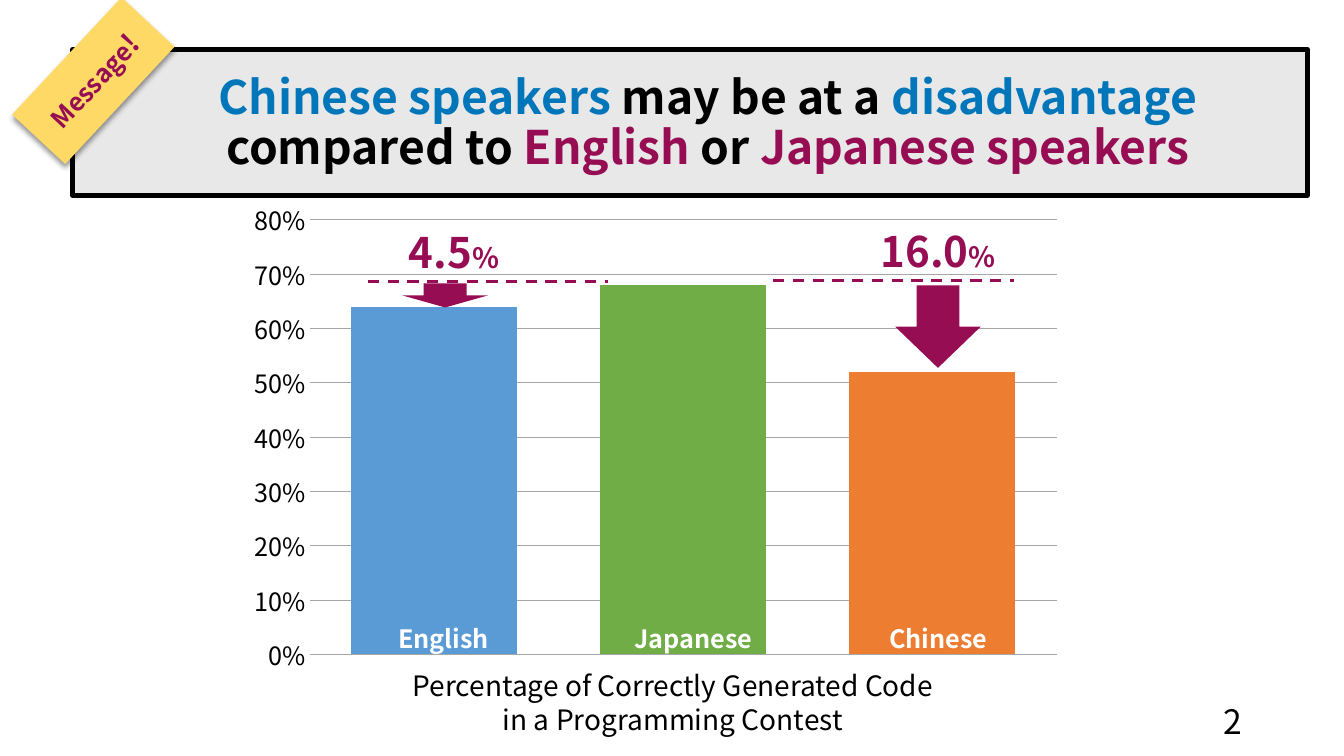
from lxml import etree
from pptx import Presentation
from pptx.chart.data import CategoryChartData
from pptx.dml.color import RGBColor
from pptx.enum.chart import XL_CHART_TYPE, XL_TICK_MARK
from pptx.enum.dml import MSO_LINE
from pptx.enum.shapes import MSO_CONNECTOR, MSO_SHAPE
from pptx.enum.text import MSO_ANCHOR, PP_ALIGN
from pptx.oxml import parse_xml
from pptx.oxml.ns import nsdecls, qn
from pptx.util import Inches, Pt

RECT, UP_ARROW = MSO_SHAPE.RECTANGLE, MSO_SHAPE.UP_ARROW
STRAIGHT, DASH = MSO_CONNECTOR.STRAIGHT, MSO_LINE.DASH
COLUMNS, NO_TICK = XL_CHART_TYPE.COLUMN_CLUSTERED, XL_TICK_MARK.NONE
CENTER, RIGHT, MIDDLE = PP_ALIGN.CENTER, PP_ALIGN.RIGHT, MSO_ANCHOR.MIDDLE

BLACK = RGBColor(0x00, 0x00, 0x00)
WHITE = RGBColor(0xFF, 0xFF, 0xFF)
GREY = RGBColor(0xCC, 0xCC, 0xCC)
GRID = RGBColor(0xA6, 0xA6, 0xA6)
BLUE = RGBColor(0x00, 0x76, 0xBA)
PLUM = RGBColor(0x97, 0x0D, 0x53)
YELLOW = RGBColor(0xFF, 0xD9, 0x66)
BARS = [RGBColor(0x5B, 0x9B, 0xD5), RGBColor(0x70, 0xAD, 0x47), RGBColor(0xED, 0x7D, 0x31)]

FONT = "Noto Sans CJK JP"
TILT = 313


def set_all(obj, values):
    for name, value in values.items():
        setattr(obj, name, value)


class Deck:
    """Places elements on a slide; lengths are percent of its width and height."""

    def __init__(self):
        self.prs = Presentation()
        self.prs.slide_width, self.prs.slide_height = Inches(13.333), Inches(7.5)
        self.s = self.prs.slides.add_slide(self.prs.slide_layouts[6])

    def emu(self, *lengths):
        sizes = (self.prs.slide_width, self.prs.slide_height)
        return [round(v * sizes[i % 2] / 100) for i, v in enumerate(lengths)]

    def shape(self, kind, at, color, opacity=None, line=None, rotation=0, parent=None):
        sp = (parent or self.s).shapes.add_shape(kind, *self.emu(*at))
        sp.shadow.inherit = False
        sp.rotation = rotation
        sp.fill.solid()
        sp.fill.fore_color.rgb = color
        if opacity:
            clr = sp._element.spPr.find(qn("a:solidFill"))[0]
            etree.SubElement(clr, qn("a:alpha")).set("val", str(opacity * 1000))
        if line:
            sp.line.color.rgb, sp.line.width = line
        else:
            sp.line.fill.background()
        return sp

    def drop_shadow(self, sp):
        effects = sp._element.spPr.find(qn("a:effectLst"))
        effects.append(parse_xml(
            f'<a:outerShdw {nsdecls("a")} blurRad="{Pt(4)}" dist="{Pt(3)}" dir="5400000" '
            'rotWithShape="0"><a:srgbClr val="000000"><a:alpha val="40000"/>'
            '</a:srgbClr></a:outerShdw>'))

    def text(self, at, lines, size, color=BLACK, bold=False, align=CENTER,
             spacing=None, rotation=0, parent=None):
        """Each line is a list of (text, format overrides) runs."""
        sp = (parent or self.s).shapes.add_textbox(*self.emu(*at))
        sp.rotation = rotation
        tf = sp.text_frame
        set_all(tf, {"word_wrap": True, "vertical_anchor": MIDDLE})
        for i, runs in enumerate(lines):
            p = tf.paragraphs[0] if i == 0 else tf.add_paragraph()
            set_all(p, {"alignment": align, "line_spacing": spacing})
            for words, extra in runs:
                r = p.add_run()
                r.text = words
                fmt = {"name": FONT, "size": Pt(size), "bold": bold, "color": color, **extra}
                r.font.color.rgb = fmt.pop("color")
                set_all(r.font, fmt)

    def dashed_line(self, left, right, y):
        cn = self.s.shapes.add_connector(STRAIGHT, *self.emu(left, y, right, y))
        cn.line.color.rgb = PLUM
        set_all(cn.line, {"width": Pt(2), "dash_style": DASH})
        etree.SubElement(cn._element.spPr, qn("a:effectLst"))

    def column_chart(self, at, values, colors, plot_box):
        data = CategoryChartData(number_format="0%")
        data.categories = [str(i + 1) for i in range(len(values))]
        data.add_series("Series 1", values)
        chart = self.s.shapes.add_chart(COLUMNS, *self.emu(*at), data).chart
        set_all(chart, {"has_legend": False, "has_title": False})
        set_all(chart.font, {"name": "Calibri", "size": Pt(10)})
        chart.font.color.rgb = BLACK
        plot = chart.plots[0]
        set_all(plot, {"gap_width": 50, "overlap": -2, "vary_by_categories": False})
        for i, color in enumerate(colors):
            fill = plot.series[0].points[i].format.fill
            fill.solid()
            fill.fore_color.rgb = color
        # Axes
        chart.category_axis.visible = False
        axis = chart.value_axis
        set_all(axis, {"minimum_scale": 0, "maximum_scale": 0.8, "major_unit": 0.1,
                       "major_tick_mark": NO_TICK, "minor_tick_mark": NO_TICK})
        set_all(axis.tick_labels, {"number_format": "0%", "number_format_is_linked": False})
        set_all(axis.tick_labels.font, {"name": FONT, "size": Pt(18)})
        axis.tick_labels.font.color.rgb = BLACK
        axis.format.line.fill.background()
        axis.major_gridlines.format.line.color.rgb = GRID
        axis.major_gridlines.format.line.width = Pt(0.75)
        # Fixed plot area, as shares of the chart
        area = chart._chartSpace.chart.plotArea
        for old in area.findall(qn("c:layout")):
            area.remove(old)
        sizes = "".join(f'<c:{k} val="{v}"/>' for k, v in zip("xywh", plot_box))
        area.insert(0, parse_xml(
            f'<c:layout {nsdecls("c")}><c:manualLayout><c:layoutTarget val="inner"/>'
            f'<c:xMode val="edge"/><c:yMode val="edge"/>{sizes}</c:manualLayout></c:layout>'))


def main():
    d = Deck()

    # Headline panel and slide number
    d.shape(RECT, (5.4, 6.53, 91.88, 19.33), GREY, opacity=45, line=(BLACK, Pt(3.25)))
    d.text((70.65, 92.67, 22.5, 5.33), [[("2", {})]], 24, align=RIGHT)
    blue, plum = {"color": BLUE}, {"color": PLUM}
    d.text((10.73, 4.93, 83.85, 23.2), [[
        ("Chinese speakers", blue), (" may be at a ", {}), ("disadvantage", blue),
        (" compared to ", {}), ("English", plum), (" or ", {}), ("Japanese speakers", plum),
    ]], 33, bold=True, spacing=0.9)

    # Chart with bar names and caption
    d.column_chart((17.63, 25.47, 62.18, 64.8), (0.64, 0.68, 0.52), BARS,
                   plot_box=(0.087, 0.056, 0.894, 0.887))
    for name, left in (("English", 27.38), ("Japanese", 45.98), ("Chinese", 64.2)):
        d.text((left, 81.73, 11.25, 5.33), [[(name, {})]], 18, WHITE, bold=True)
    d.text((26.4, 87.73, 47.33, 10.27), [
        [("Percentage of Correctly Generated Code", {})],
        [("in a Programming Contest", {})]], 20)

    # Gaps to the Japanese bar: dashed level, arrow, difference
    gaps = [
        ("4.5", (27.38, 45.23, 37.2), (29.93, 37.47, 6.38, 3.2), (28.95, 29.2, 9.68, 8.13)),
        ("16.0", (57.53, 75.45, 37.07), (66.6, 37.73, 6.38, 10.93), (63.98, 29.07, 11.63, 8.13)),
    ]
    for points, level, arrow, label in gaps:
        d.dashed_line(*level)
        d.shape(UP_ARROW, arrow, PLUM, rotation=180)
        d.text(label, [[(points, {}), ("%", {"size": Pt(20)})]], 30, PLUM, bold=True)

    # Tilted message tag
    tag = d.s.shapes.add_group_shape()
    card = d.shape(RECT, (0.98, 5.87, 11.93, 9.6), YELLOW, rotation=TILT, parent=tag)
    d.drop_shadow(card)
    d.text((1.43, 6.53, 11.33, 8.67), [[("Message", {}), ("!", {"size": Pt(20)})]], 18,
           PLUM, bold=True, spacing=0.9, rotation=TILT, parent=tag)

    d.prs.save("out.pptx")


if __name__ == "__main__":
    main()
